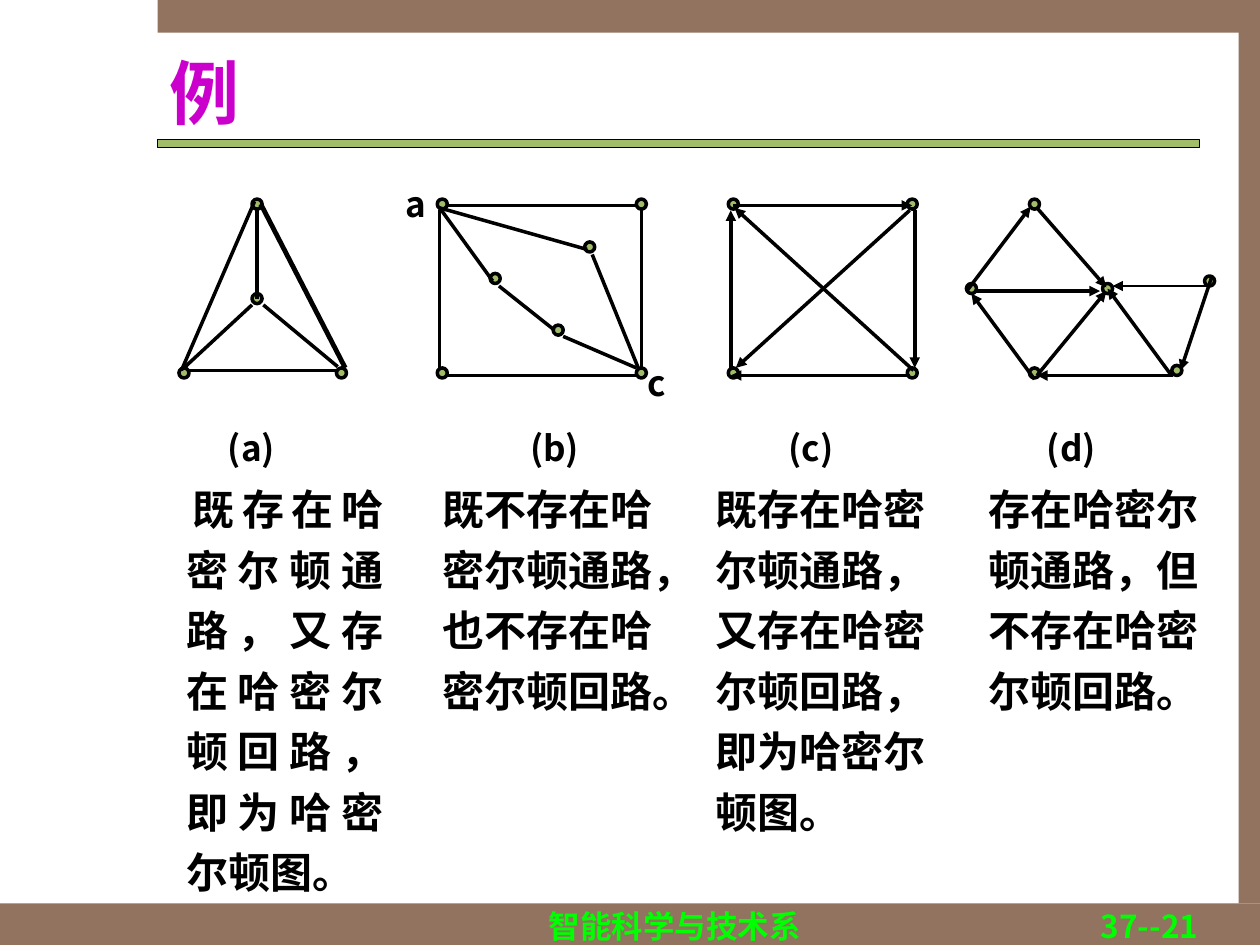
from dataclasses import dataclass

import lxml.etree
import pptx
import pptx.dml.color
import pptx.enum.shapes
import pptx.enum.text
import pptx.oxml.ns
import pptx.util

COLORS = {"brown": "91735F", "green": "A1BD69", "black": "000000",
          "footer": "00FF00", "title": "CC00CC"}
FONT = "Noto Sans CJK SC"
ALIGN = pptx.enum.text.PP_ALIGN
ANCHOR = pptx.enum.text.MSO_ANCHOR
SHAPE = pptx.enum.shapes.MSO_SHAPE
NODE_SIZE = 0.08
NODE_LINE = 2
TOP, BOTTOM = 1.58, 2.92  # rows shared by the outer nodes of the graphs


@dataclass
class Edge:
    start: tuple[float, float]
    end: tuple[float, float]
    width: float = 2


@dataclass
class Label:
    text: str
    left: float
    top: float = 3.27
    width: float = 0.7


@dataclass
class Graph:
    nodes: list[tuple[float, float]]
    edges: list[Edge]
    labels: list[Label]
    directed: bool = False


@dataclass
class Caption:
    text: str
    left: float
    height: float
    width: float = 1.89


GRAPHS = [
    Graph([(2, TOP), (2.67, BOTTOM), (1.42, BOTTOM), (2, 2.33)],
          [Edge((2.02, 1.6), (1.44, 2.94)), Edge((2.07, 1.62), (2.74, 2.92), 2.75),
           Edge((1.5, 2.94), (2.67, 2.94)), Edge((2.04, 1.67), (2.04, 2.37)),
           Edge((2, 2.42), (1.46, 2.92)), Edge((2.09, 2.42), (2.68, 2.91))],
          [Label("(a)", 1.71)]),
    Graph([(5.78, TOP), (5.78, BOTTOM), (7.2, TOP), (7.2, BOTTOM)],
          [Edge((5.8, 2.92), (5.8, 1.67)), Edge((7.22, 2.98), (5.8, 2.98)),
           Edge((5.82, 1.63), (7.24, 1.63)), Edge((7.26, 1.67), (7.26, 2.92)),
           Edge((7.22, 1.67), (5.84, 2.92)), Edge((7.25, 2.94), (5.83, 1.65))],
          [Label("(c)", 6.16)], directed=True),
    Graph([(3.47, TOP), (4.64, 1.92), (5.05, BOTTOM), (5.05, TOP),
           (3.47, BOTTOM), (4.39, 2.58), (3.89, 2.17)],
          [Edge((3.49, 1.67), (3.49, 2.92)), Edge((3.55, 1.63), (5.05, 1.63)),
           Edge((3.55, 2.98), (5.05, 2.98)), Edge((5.09, 1.67), (5.09, 2.92)),
           Edge((3.49, 1.65), (3.91, 2.23)), Edge((3.49, 1.65), (4.66, 1.98)),
           Edge((4.7, 2.02), (5.07, 2.93)), Edge((3.96, 2.27), (4.4, 2.62)),
           Edge((5.05, 2.92), (4.47, 2.67))],
          [Label("(b)", 4.11), Label("a", 3.12, 1.33, 0.37),
           Label("c", 5.04, 2.75, 0.37)]),
    Graph([(8.17, TOP), (8.75, 2.25), (7.67, 2.25), (8.17, BOTTOM),
           (9.3, 2.9), (9.56, 2.19)],
          [Edge((9.62, 2.19), (9.37, 2.94)), Edge((7.68, 2.3), (8.18, 1.64)),
           Edge((8.23, 1.65), (8.78, 2.28)), Edge((8.21, 3.01), (7.71, 2.33)),
           Edge((8.23, 2.98), (8.78, 2.31)), Edge((9.31, 2.98), (8.23, 2.98)),
           Edge((9.29, 2.97), (8.79, 2.29)), Edge((7.74, 2.31), (8.73, 2.31)),
           Edge((9.58, 2.27), (8.83, 2.27), 1.5)],
          [Label("(d)", 8.21)], directed=True),
]

HANGING_CAPTION = Caption("既存在哈密尔顿通路，又存在哈密尔顿回路，即为哈密尔顿图。", 1, 3.46, 2.14)
CAPTIONS = [
    Caption("既不存在哈密尔顿通路，也不存在哈密尔顿回路。", 3.41, 2.98),
    Caption("既存在哈密尔顿通路，又存在哈密尔顿回路，即为哈密尔顿图。", 5.58, 3.45),
    Caption("存在哈密尔顿通路，但不存在哈密尔顿回路。", 7.75, 2.5),
]


def length(inches: float) -> pptx.util.Length:
    """Convert the inch grid of the slide to centimetres."""
    return pptx.util.Cm(inches * 2.54)


def color(name: str) -> pptx.dml.color.RGBColor:
    return pptx.dml.color.RGBColor.from_string(COLORS[name])


def add_filled_shape(shapes, kind, place: tuple, fill: str, line_width: float = 0):
    shape = shapes.add_shape(kind, *map(length, place))
    shape.shadow.inherit = False
    shape.fill.solid()
    shape.fill.fore_color.rgb = color(fill)
    if line_width:
        shape.line.color.rgb = color("black")
        shape.line.width = pptx.util.Pt(line_width)
    else:
        shape.line.fill.background()


def add_text(shapes, text: str, place: tuple, size: float, ink: str = "black",
             frame_format: dict | None = None, para_format: dict | None = None):
    """Add a one-paragraph text box and return its paragraph."""
    box = shapes.add_textbox(*map(length, place))
    frame = box.text_frame
    para = frame.paragraphs[0]
    span = para.add_run()
    span.text = text
    formats = [
        (frame, {"word_wrap": True, "vertical_anchor": ANCHOR.TOP} | (frame_format or {})),
        (para, para_format or {}),
        (span.font, {"name": FONT, "size": pptx.util.Pt(size), "bold": True}),
    ]
    for target, values in formats:
        for attribute, value in values.items():
            setattr(target, attribute, value)
    span.font.color.rgb = color(ink)
    east_asian = lxml.etree.SubElement(span.font._element, pptx.oxml.ns.qn("a:ea"))
    east_asian.set("typeface", FONT)
    return para


def add_edge(shapes, edge: Edge, directed: bool):
    line = shapes.add_connector(pptx.enum.shapes.MSO_CONNECTOR.STRAIGHT,
                                *map(length, edge.start + edge.end))
    line.line.color.rgb = color("black")
    line.line.width = pptx.util.Pt(edge.width)
    if directed:
        arrow = lxml.etree.SubElement(line.line._get_or_add_ln(), pptx.oxml.ns.qn("a:tailEnd"))
        arrow.set("type", "triangle")
    lxml.etree.SubElement(line._element.spPr, pptx.oxml.ns.qn("a:effectLst"))


def add_graph(slide, graph: Graph):
    shapes = slide.shapes.add_group_shape().shapes
    for node in graph.nodes:
        add_filled_shape(shapes, SHAPE.OVAL, node + (NODE_SIZE, NODE_SIZE), "green", NODE_LINE)
    for edge in graph.edges:
        add_edge(shapes, edge, graph.directed)
    for label in graph.labels:
        add_text(shapes, label.text, (label.left, label.top, label.width, 0.5), 20,
                 frame_format={"word_wrap": False,
                               "auto_size": pptx.enum.text.MSO_AUTO_SIZE.SHAPE_TO_FIT_TEXT},
                 para_format={"line_spacing": 1.2})


def add_caption(slide, caption: Caption, alignment=ALIGN.LEFT):
    return add_text(slide.shapes, caption.text,
                    (caption.left, 3.71, caption.width, caption.height), 24,
                    para_format={"line_spacing": 1.2, "alignment": alignment})


def main():
    deck = pptx.Presentation()
    deck.slide_width, deck.slide_height = length(10), length(7.5)
    slide = deck.slides.add_slide(deck.slide_layouts[6])
    shapes = slide.shapes

    for bar in [(0, 7.17, 10, 0.33), (1.25, 0, 8.75, 0.26), (9.83, 0.25, 0.17, 6.92)]:
        add_filled_shape(shapes, SHAPE.RECTANGLE, bar, "brown")
    add_filled_shape(shapes, SHAPE.RECTANGLE, (1.25, 1.11, 8.27, 0.06), "green", 0.75)

    add_text(shapes, "智能科学与技术系", (3.19, 7.15, 4.33, 0.18), 18, "footer",
             para_format={"alignment": ALIGN.CENTER})
    add_text(shapes, "37--21", (7.53, 7.15, 2.08, 0.18), 18, "footer",
             para_format={"alignment": ALIGN.RIGHT})
    add_text(shapes, "例", (1.25, 0.33, 8.27, 0.79), 40, "title",
             frame_format={"vertical_anchor": ANCHOR.MIDDLE})

    para = add_caption(slide, HANGING_CAPTION, ALIGN.JUSTIFY)
    properties = para._p.get_or_add_pPr()
    properties.set("marL", str(length(0.38)))
    properties.set("indent", str(length(0.05)))
    for caption in CAPTIONS:
        add_caption(slide, caption)
    for graph in GRAPHS:
        add_graph(slide, graph)

    deck.save("out.pptx")


if __name__ == "__main__":
    main()
